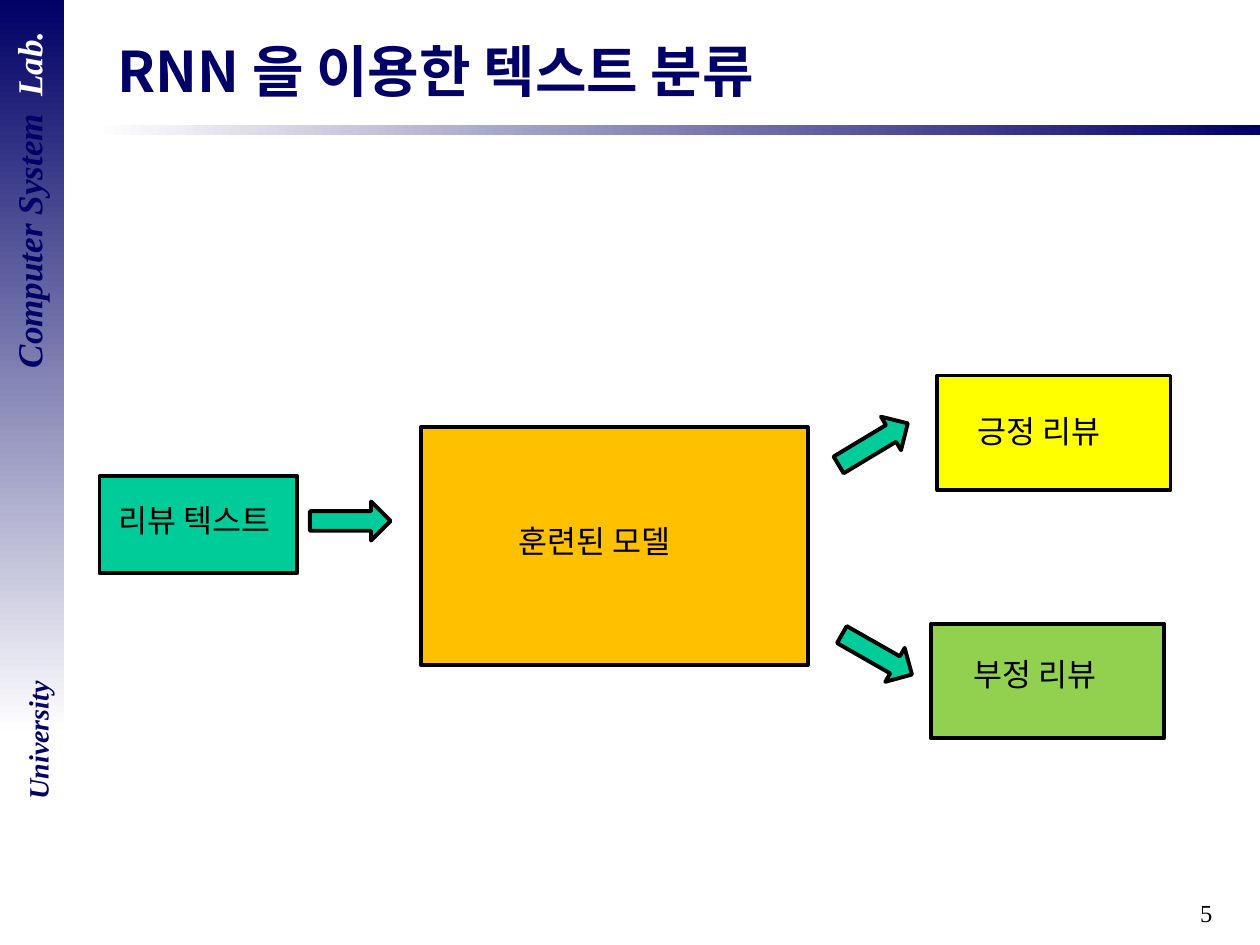
from lxml.etree import SubElement
from pptx import Presentation
from pptx.dml.color import RGBColor
from pptx.enum.shapes import MSO_SHAPE
from pptx.enum.text import MSO_ANCHOR, PP_ALIGN
from pptx.oxml.ns import qn
from pptx.util import Inches, Pt

NAVY, WHITE, BLACK, GREEN = "000066", "FFFFFF", "000000", "00CC99"
KOREAN, LATIN = "Noto Sans CJK KR", "Times New Roman"
LABEL = {"size": Pt(18), "name": KOREAN}
SIDE = {"name": LATIN, "bold": True, "italic": True}


def color(hex_string):
    """Turn a hex string into a colour."""
    return RGBColor.from_string(hex_string)


def box(left, top, width, height):
    """Turn lengths in inches into a frame."""
    return [Inches(length) for length in (left, top, width, height)]


def add_run(paragraph, text, hex_string, font_format):
    """Add a formatted run, using its font for Korean letters too."""
    run = paragraph.add_run()
    run.text = text
    run.font.color.rgb = color(hex_string)
    for name, value in font_format.items():
        setattr(run.font, name, value)
    east_asian = SubElement(run.font._element, qn("a:ea"))
    east_asian.set("typeface", font_format["name"])


def add_text(slide, frame, runs, font_format, alignment=PP_ALIGN.LEFT, rotation=0):
    """Add a text box holding one paragraph of coloured runs."""
    shape = slide.shapes.add_textbox(*box(*frame))
    shape.rotation = rotation
    shape.text_frame.word_wrap = True
    paragraph = shape.text_frame.paragraphs[0]
    paragraph.alignment = alignment
    for text, hex_string in runs:
        add_run(paragraph, text, hex_string, font_format)


def add_gradient(slide, frame, colors, angle):
    """Add a borderless bar that fades between two colours."""
    shape = slide.shapes.add_shape(MSO_SHAPE.RECTANGLE, *box(*frame))
    shape.shadow.inherit = False
    shape.line.fill.background()
    shape.fill.gradient()
    shape.fill.gradient_angle = angle
    for stop, hex_string in zip(shape.fill.gradient_stops, colors):
        stop.color.rgb = color(hex_string)


def add_solid(slide, kind, frame, hex_string, rotation=0):
    """Add a filled shape with a black outline."""
    shape = slide.shapes.add_shape(kind, *box(*frame))
    shape.shadow.inherit = False
    shape.rotation = rotation
    shape.fill.solid()
    shape.fill.fore_color.rgb = color(hex_string)
    shape.line.color.rgb = color(BLACK)
    shape.line.width = Pt(2.25)


def set_title(slide, text):
    """Place and format the title."""
    title = slide.shapes.title
    title.left, title.top, title.width, title.height = box(0.83, 0.17, 8.9, 0.77)
    title.text_frame.vertical_anchor = MSO_ANCHOR.MIDDLE
    paragraph = title.text_frame.paragraphs[0]
    paragraph.alignment = PP_ALIGN.LEFT
    add_run(paragraph, text, NAVY, {"size": Pt(32), "name": KOREAN, "bold": True})


def add_decoration(slide):
    """Add the title rule, side bar, side texts and page number."""
    add_gradient(slide, (0.75, 0.99, 9.25, 0.08), (WHITE, NAVY), 0)
    add_gradient(slide, (0, 0, 0.51, 5.83), (NAVY, WHITE), 270)
    add_text(slide, (7.64, 7.08, 2.08, 0.42), [("5", BLACK)],
             {"size": Pt(14), "name": LATIN}, PP_ALIGN.RIGHT)
    add_text(slide, (-1.31, 1.37, 3.07, 0.43),
             [("Computer System  ", NAVY), ("Lab.", WHITE)],
             {**SIDE, "size": Pt(20)}, PP_ALIGN.CENTER, 270)
    add_text(slide, (-0.41, 5.69, 1.42, 0.37), [("University", NAVY)],
             {**SIDE, "size": Pt(16)}, PP_ALIGN.CENTER, 270)


def add_flow(slide):
    """Add the boxes, arrows and labels of the classification flow."""
    stages = [
        ("리뷰 텍스트", (0.79, 3.78, 1.57, 0.77), GREEN, (0.84, 3.93)),
        ("훈련된 모델", (3.34, 3.39, 3.07, 1.89), "FFC000", (4.02, 4.09)),
        ("긍정 리뷰", (7.44, 2.98, 1.85, 0.91), "FFFF00", (7.66, 3.22)),
        ("부정 리뷰", (7.39, 4.95, 1.85, 0.91), "92D050", (7.63, 5.15)),
    ]
    arrows = [(6.61, 3.37, 329), (6.64, 5.04, 29.7), (2.46, 3.98, 0)]
    for _, frame, hex_string, _ in stages:
        add_solid(slide, MSO_SHAPE.RECTANGLE, frame, hex_string)
    for left, top, rotation in arrows:
        add_solid(slide, MSO_SHAPE.RIGHT_ARROW, (left, top, 0.64, 0.31), GREEN, rotation)
    for text, _, _, corner in stages:
        add_text(slide, (*corner, 1.7, 0.4), [(text, BLACK)], LABEL)


def main():
    """Build and save the slide."""
    presentation = Presentation()
    presentation.slide_width, presentation.slide_height = Inches(10), Inches(7.5)
    slide = presentation.slides.add_slide(presentation.slide_layouts[5])
    add_decoration(slide)
    set_title(slide, "RNN 을 이용한 텍스트 분류")
    add_flow(slide)
    presentation.save("out.pptx")


main()
